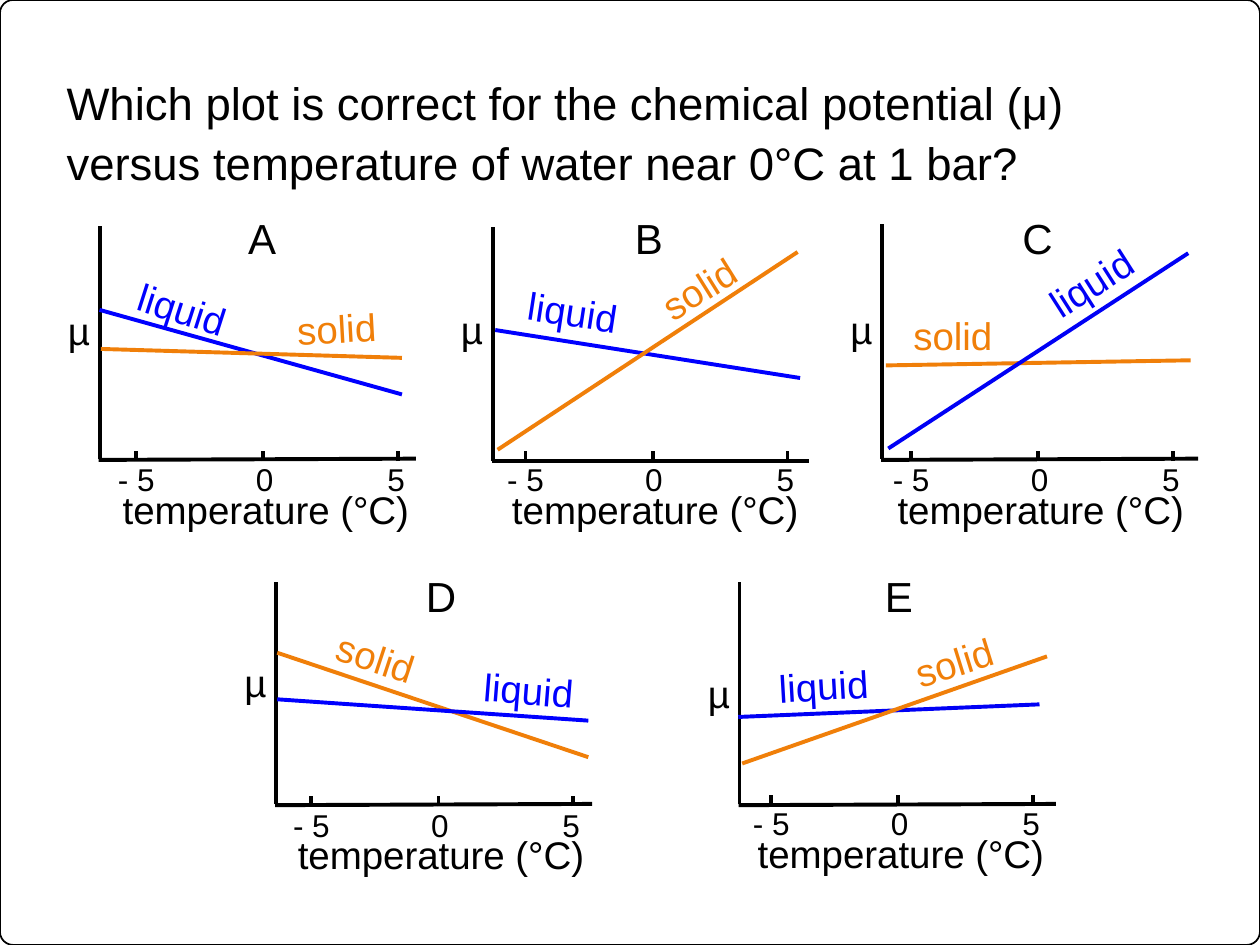
from lxml.etree import SubElement
from pptx import Presentation
from pptx.dml.color import RGBColor
from pptx.enum.shapes import MSO_CONNECTOR, MSO_SHAPE
from pptx.enum.text import MSO_ANCHOR, PP_ALIGN
from pptx.oxml.ns import qn
from pptx.util import Pt

COLORS = {"black": "000000", "blue": "0000FF", "deep blue": "0000F5", "orange": "F07F09"}
LEFT, CENTER = PP_ALIGN.LEFT, PP_ALIGN.CENTER


def add_label(parent, text, left, top, width, height=33.8, size=22, color="black",
              align=CENTER, wrap=True, angle=0):
    box = parent.shapes.add_textbox(Pt(left), Pt(top), Pt(width), Pt(height))
    box.rotation = angle
    box.text_frame.word_wrap = wrap
    para = box.text_frame.paragraphs[0]
    para.alignment = align
    span = para.add_run()
    span.text = text
    span.font.name = "Arial"
    span.font.size = Pt(size)
    span.font.color.rgb = RGBColor.from_string(COLORS[color])


def add_line(parent, x1, y1, x2, y2, color="black"):
    line = parent.shapes.add_connector(MSO_CONNECTOR.STRAIGHT, Pt(x1), Pt(y1), Pt(x2), Pt(y2))
    line.line.width = Pt(2.25)
    line.line.color.rgb = RGBColor.from_string(COLORS[color])
    SubElement(line._element.spPr, qn("a:effectLst"))


deck = Presentation()
deck.slide_width, deck.slide_height = Pt(720), Pt(540)
page = deck.slides.add_slide(deck.slide_layouts[5])

# Page frame
frame = page.shapes.add_shape(MSO_SHAPE.ROUNDED_RECTANGLE, 0, 0, Pt(720), Pt(540))
frame.adjustments[0] = 0.014
frame.shadow.inherit = False
frame.fill.background()
frame.line.width = Pt(1)
frame.line.color.rgb = RGBColor.from_string(COLORS["black"])

# Question
title = page.shapes.title
title.left, title.top, title.width, title.height = Pt(38), Pt(39.6), Pt(633), Pt(78.5)
text = title.text_frame
text.margin_left = text.margin_right = text.margin_top = text.margin_bottom = 0
text.vertical_anchor = MSO_ANCHOR.TOP
text.word_wrap = True
para = text.paragraphs[0]
para.alignment = LEFT
para.line_spacing = 1.1
span = para.add_run()
span.text = ("Which plot is correct for the chemical potential (μ) "
             "versus temperature of water near 0°C at 1 bar?")
span.font.name = "Arial"
span.font.size = Pt(26)
span.font.color.rgb = RGBColor.from_string(COLORS["black"])

# Plots: letter, letter centre and top, zero tick, axis left and top,
# axis heights at both ends, top of the µ label
# Curves: name, colour, end points, label left, top, width, angle, alignment
PLOTS = [
    (("A", 149.8, 118), (150.5, 263.5), (56.9, 128.9), (262.8, 262.1), 172.1, [
        ("liquid", "blue", (56.9, 177.1, 229.7, 225.4), (71.3, 159.8, 66.2), 17.7, LEFT),
        ("solid", "orange", (57.6, 199.4, 229.7, 204.5), (162.7, 170.6, 60.5), -3.2, LEFT)]),
    (("B", 370.8, 118), (373, 263.5), (281.5, 129.6), (263.5, 263.5), 171.4, [
        ("liquid", "blue", (283, 188.6, 457.2, 216), (294.5, 161.3, 66.2), 8.8, LEFT),
        ("solid", "orange", (284.4, 257, 455.8, 144), (367.9, 141.1, 85), -32, LEFT)]),
    (("C", 592.9, 118), (593.3, 263.5), (504, 128.2), (262.8, 262.1), 171.4, [
        ("solid", "orange", (506.2, 208.8, 680.4, 205.9), (514.8, 175, 80.6), 0, LEFT),
        ("liquid", "deep blue", (507.6, 256.3, 679, 144.7), (581, 144.7, 85), -32.6, CENTER)]),
    (("D", 252, 322.6), (250.6, 460.8), (157.7, 332.6), (460.1, 459.4), 373, [
        ("solid", "orange", (158.4, 373, 336.2, 432.7), (185, 359.3, 60.5), 18.3, LEFT),
        ("liquid", "blue", (158.4, 399.6, 336.2, 411.8), (269.3, 377.3, 66.2), 4.6, LEFT)]),
    (("E", 513.7, 322.6), (513.4, 460.1), (422.6, 332.6), (460.1, 459.4), 379.4, [
        ("liquid", "deep blue", (421.9, 409.7, 594, 402.5), (437.8, 374.4, 80.6), -3.3, LEFT),
        ("solid", "orange", (424.1, 436.3, 598.3, 375.1), (502.6, 361.4, 85), -17.3, CENTER)]),
]
# Tick text, tick offset, label offset and label width, from the zero tick
TICKS = [("- 5", -72.7, -100, 54.7), ("0", 0, -23.8, 49), ("5", 77, 49.5, 52.6)]

for letter, zero, axis, ends, mu_top, curves in PLOTS:
    name, center, letter_top = letter
    zero_x, zero_y = zero
    axis_x, axis_top = axis
    add_label(page, name, center - 17, letter_top, 34, height=36, size=24)
    plot = page.shapes.add_group_shape()

    # Axes, ticks and their labels
    add_label(plot, "temperature (°C)", zero_x - 88.9, zero_y + 10.8, 180.7, wrap=False)
    for tick, offset, label_offset, width in TICKS:
        add_label(plot, tick, zero_x + label_offset, zero_y - 4, width, height=28.8, size=18)
        add_line(plot, zero_x + offset, zero_y, zero_x + offset, zero_y - 5.8)
    add_line(plot, axis_x - 0.5, ends[0], axis_x + 180.7, ends[1])
    add_line(plot, axis_x, ends[1], axis_x, axis_top)
    add_label(plot, "µ", axis_x - 25.2, mu_top, 27.4, align=LEFT, wrap=False)

    # Curves first, then their labels
    for _, color, points, *_ in curves:
        add_line(plot, *points, color=color)
    for phase, color, _, place, angle, align in curves:
        add_label(plot, phase, *place, color=color, align=align,
                  wrap=place[2] > 70, angle=angle)

deck.save("out.pptx")
